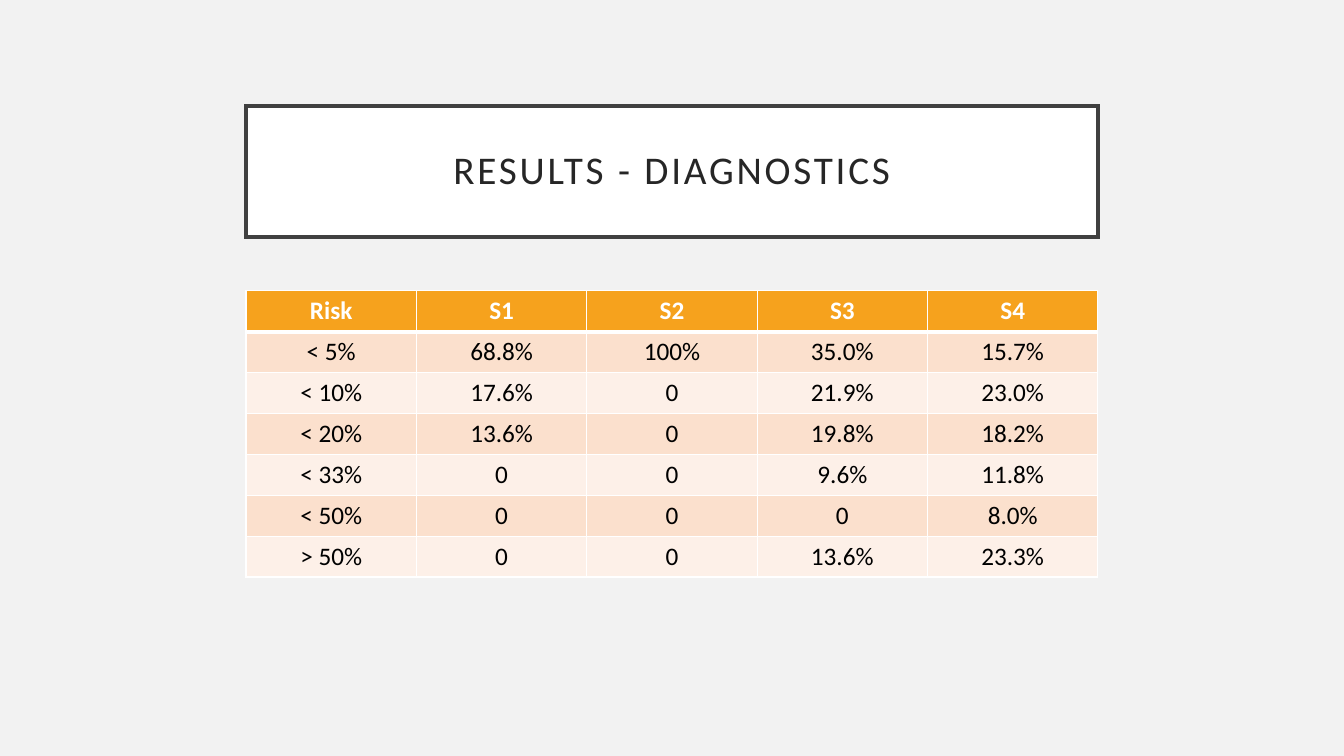
from dataclasses import dataclass

from lxml import etree
from pptx import Presentation
from pptx import table as tables
from pptx import util as u
from pptx.dml import color
from pptx.dml import fill as fills
from pptx.enum import shapes, text
from pptx.oxml import ns
from pptx.text import text as texts

WHITE = "FFFFFF"
LEFT, WIDTH = 175.75, 608.5
TITLE_TOP, TITLE_HEIGHT = 75.75, 93.75
TABLE_TOP, ROW_HEIGHT = 207.75, 29.2
THIN, THICK = 1, 3


@dataclass(frozen=True)
class TextStyle:
    size: float
    color: str
    bold: bool = False
    spacing: float = 0


@dataclass(frozen=True)
class RowStyle:
    fill: str
    text: TextStyle
    top: float = THIN
    bottom: float = THIN


TITLE = TextStyle(28, "262626", spacing=2)
BODY = TextStyle(18, "000000")
HEADER_ROW = RowStyle("F6A21D", TextStyle(18, WHITE, bold=True), bottom=THICK)
FIRST_ROW = RowStyle("FBE0CD", BODY, top=THICK)
ODD_ROW = RowStyle("FBE0CD", BODY)
EVEN_ROW = RowStyle("FDF0E8", BODY)

RISKS = [
    ["Risk", "S1", "S2", "S3", "S4"],
    ["< 5%", "68.8%", "100%", "35.0%", "15.7%"],
    ["< 10%", "17.6%", "0", "21.9%", "23.0%"],
    ["< 20%", "13.6%", "0", "19.8%", "18.2%"],
    ["< 33%", "0", "0", "9.6%", "11.8%"],
    ["< 50%", "0", "0", "0", "8.0%"],
    ["> 50%", "0", "0", "13.6%", "23.3%"],
]


def rgb(value: str) -> color.RGBColor:
    return color.RGBColor.from_string(value)


def paint(fill: fills.FillFormat, value: str) -> None:
    fill.solid()
    fill.fore_color.rgb = rgb(value)


def write(tf: texts.TextFrame, words: str, style: TextStyle) -> None:
    p = tf.paragraphs[0]
    p.alignment = text.PP_ALIGN.CENTER
    r = p.add_run()
    r.text = words
    r.font.name = "Calibri"
    r.font.size = u.Pt(style.size)
    r.font.bold = style.bold
    r.font.color.rgb = rgb(style.color)
    if style.spacing:
        r.font._element.set("spc", str(round(style.spacing * 100)))


def add_border(cell: tables._Cell, side: str, width: float) -> None:
    tc_pr = cell._tc.get_or_add_tcPr()
    ln = etree.SubElement(tc_pr, ns.qn(f"a:ln{side}"), w=str(u.Pt(width)))
    solid = etree.SubElement(ln, ns.qn("a:solidFill"))
    etree.SubElement(solid, ns.qn("a:srgbClr"), val=WHITE)


def fill_cell(cell: tables._Cell, words: str, style: RowStyle) -> None:
    borders = {"L": THIN, "R": THIN, "T": style.top, "B": style.bottom}
    for side, width in borders.items():
        add_border(cell, side, width)
    paint(cell.fill, style.fill)
    write(cell.text_frame, words, style.text)


def row_style(index: int) -> RowStyle:
    if index < 2:
        return (HEADER_ROW, FIRST_ROW)[index]
    return ODD_ROW if index % 2 else EVEN_ROW


prs = Presentation()
prs.slide_width, prs.slide_height = u.Pt(960), u.Pt(540)
s = prs.slides.add_slide(prs.slide_layouts[6])
paint(s.background.fill, "F2F2F2")

sp = s.shapes.add_shape(
    shapes.MSO_SHAPE.RECTANGLE,
    u.Pt(LEFT), u.Pt(TITLE_TOP), u.Pt(WIDTH), u.Pt(TITLE_HEIGHT),
)
sp.shadow.inherit = False
paint(sp.fill, WHITE)
sp.line.color.rgb = rgb("404040")
sp.line.width = u.Pt(2.5)
etree.SubElement(sp.line._get_or_add_ln(), ns.qn("a:miter"), lim="800000")
tf = sp.text_frame
tf.word_wrap = True
tf.vertical_anchor = text.MSO_ANCHOR.MIDDLE
tf.margin_left = tf.margin_right = tf.margin_top = tf.margin_bottom = u.Pt(14.4)
write(tf, "RESULTS - DIAGNOSTICS", TITLE)
tf.paragraphs[0].line_spacing = 0.9

risk_table = s.shapes.add_table(
    len(RISKS), len(RISKS[0]),
    u.Pt(LEFT), u.Pt(TABLE_TOP), u.Pt(WIDTH), u.Pt(ROW_HEIGHT * len(RISKS)),
).table
for i, row in enumerate(RISKS):
    for j, words in enumerate(row):
        fill_cell(risk_table.cell(i, j), words, row_style(i))

prs.save("out.pptx")
